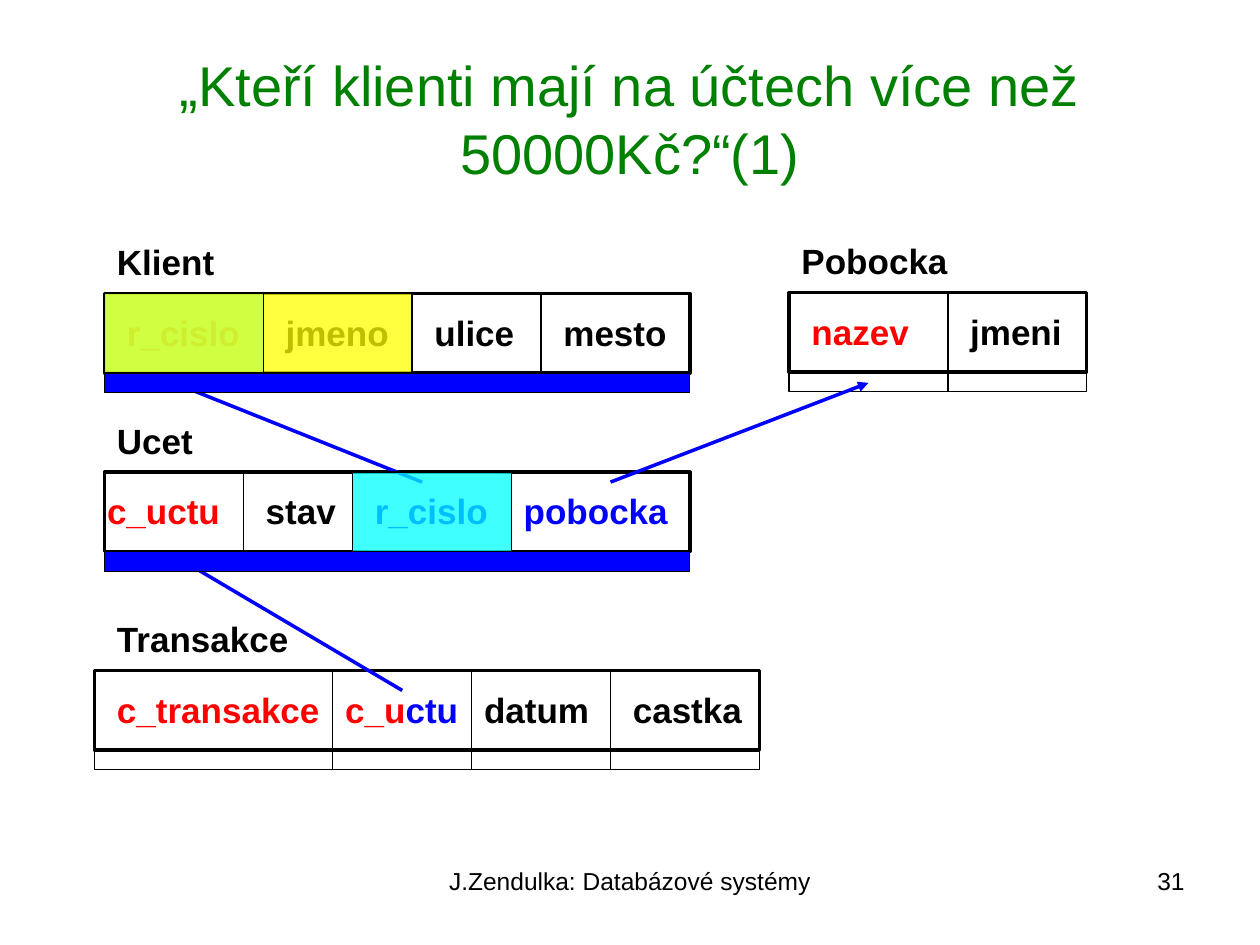
import pptx
import pptx.util
import pptx.dml.color
import pptx.enum.shapes
import pptx.enum.text
import pptx.oxml
import pptx.oxml.ns
from lxml import etree

RGB = pptx.dml.color.RGBColor
BLACK = RGB(0x00, 0x00, 0x00)
RED = RGB(0xFF, 0x00, 0x00)
BLUE = RGB(0x00, 0x00, 0xFF)
GREEN = RGB(0x00, 0x80, 0x00)
CYAN = RGB(0x00, 0xFF, 0xFF)
YELLOW = RGB(0xFF, 0xFF, 0x00)

ALIGN = pptx.enum.text.PP_ALIGN
ANCHOR = pptx.enum.text.MSO_ANCHOR
qn = pptx.oxml.ns.qn

HEAD_ROWS = 8
BAND_ROWS = 2


class SchemaSlide:
    """Places elements on a 2 mm grid that starts at the Klient table."""

    font = "Arial"
    unit = pptx.util.Mm(2)
    left = pptx.util.Inches(0.83)
    top = pptx.util.Inches(2.33)

    def __init__(self, prs):
        self.width, self.height = prs.slide_width, prs.slide_height
        self.slide = prs.slides.add_slide(prs.slide_layouts[6])

    def point(self, col, row):
        return round(self.left + col * self.unit), round(self.top + row * self.unit)

    def box(self, col, row, cols, rows):
        return *self.point(col, row), round(cols * self.unit), round(rows * self.unit)

    def share(self, x, y, w, h):
        return (round(x * self.width), round(y * self.height),
                round(w * self.width), round(h * self.height))

    def text(self, box, runs, size, align=ALIGN.LEFT, bold=False,
             anchor=ANCHOR.TOP, wrap=True):
        """Writes one paragraph; runs is a list of (text, colour)."""
        tf = self.slide.shapes.add_textbox(*box).text_frame
        tf.word_wrap = wrap
        tf.vertical_anchor = anchor
        if not wrap:
            tf.auto_size = pptx.enum.text.MSO_AUTO_SIZE.SHAPE_TO_FIT_TEXT
        p = tf.paragraphs[0]
        p.alignment = align
        p.font.name, p.font.size, p.font.bold = self.font, pptx.util.Pt(size), bold
        for words, color in runs:
            r = p.add_run()
            r.text = words
            r.font.color.rgb = color

    def label(self, col, row, cols, runs):
        self.text(self.box(col, row, cols, 5.6), runs, 20, bold=True, wrap=False)

    def rect(self, col, row, cols, rows, weight=0.75, fill=None, opacity=100):
        sp = self.slide.shapes.add_shape(
            pptx.enum.shapes.MSO_SHAPE.RECTANGLE, *self.box(col, row, cols, rows))
        sp.shadow.inherit = False
        sp.line.color.rgb = BLACK
        sp.line.width = pptx.util.Pt(weight)
        if fill is None:
            sp.fill.background()
            return
        sp.fill.solid()
        sp.fill.fore_color.rgb = fill
        if opacity < 100:
            color = sp.fill._xPr.find(qn("a:solidFill"))[0]
            etree.SubElement(color, qn("a:alpha"), val=str(opacity * 1000))

    def line(self, start, end, color=BLACK, weight=0.75, arrow=False):
        cxn = self.slide.shapes.add_connector(
            pptx.enum.shapes.MSO_CONNECTOR.STRAIGHT,
            *self.point(*start), *self.point(*end))
        cxn.line.color.rgb = color
        cxn.line.width = pptx.util.Pt(weight)
        if arrow:
            etree.SubElement(cxn.line._get_or_add_ln(), qn("a:tailEnd"), type="triangle")
        etree.SubElement(cxn._element.spPr, qn("a:effectLst"))

    def band(self, col, row, cols, fill=None):
        """Draws the narrow strip below the header that starts at row."""
        self.rect(col, row + HEAD_ROWS, cols, BAND_ROWS, fill=fill)

    def relation(self, name, col, row, cols, cells, indent=0):
        """Draws a relation; a cell is (start, text inset, text width, runs)."""
        name_text, name_cols = name
        self.label(col + indent, row - 5.95, name_cols, [(name_text, BLACK)])
        self.rect(col, row, cols, HEAD_ROWS, weight=2)
        for start, inset, text_cols, runs in cells:
            x = col + start
            self.label(x + inset, row + 1.15, text_cols, runs)
            if start:
                self.line((x, row), (x, row + HEAD_ROWS + BAND_ROWS))


def main():
    prs = pptx.Presentation()
    prs.slide_width = pptx.util.Inches(10)
    prs.slide_height = pptx.util.Inches(7.5)
    s = SchemaSlide(prs)

    s.text(s.share(0.05, 0.04, 0.9, 0.17),
           [("„Kteří klienti mají na účtech více než 50000Kč?“(1)", GREEN)],
           32, ALIGN.CENTER, anchor=ANCHOR.MIDDLE)
    s.text(s.share(0.34, 0.91, 0.32, 0.07),
           [("J.Zendulka: Databázové systémy", BLACK)], 14, ALIGN.CENTER)
    s.text(s.share(0.72, 0.91, 0.23, 0.07), [("31", BLACK)], 14, ALIGN.RIGHT)

    s.relation(("Klient", 13), 0, 0, 59, [
        (0, 1, 14, [("r_cislo", RED)]),
        (16, 1, 13, [("jmeno", BLACK)]),
        (31, 1, 11, [("ulice", BLACK)]),
        (44, 1, 13, [("mesto", BLACK)]),
    ])
    s.relation(("Pobocka", 18), 69, -0.1, 30, [
        (0, 1, 12.5, [("nazev", RED)]),
        (16, 1, 12, [("jmeni", BLACK)]),
    ])
    s.band(69, -0.1, 30)
    s.relation(("Ucet", 11), 0, 18, 59, [
        (0, -1, 14, [("c_uctu", RED)]),
        (14, 1, 10, [("stav", BLACK)]),
        (25, 1, 14, [("r_cislo", BLUE)]),
        (41, 0, 17.5, [("pobocka", BLUE)]),
    ])
    s.relation(("Transakce", 21), -1, 38, 67, [
        (0, 1, 23, [("c_transakce", RED)]),
        (24, 0, 14, [("c_u", RED), ("ctu", BLUE)]),
        (38, 0, 13.5, [("datum", BLACK)]),
        (52, 1, 14, [("castka", BLACK)]),
    ], indent=1)
    s.band(-1, 38, 67)

    for start, end in [((30, 40), (8, 27)), ((32, 19), (7, 9)), ((51, 19), (77, 9))]:
        s.line(start, end, BLUE, 2, arrow=True)

    # The blue bands lie over the arrowheads that end at them.
    for row in (0, 18):
        s.band(0, row, 59, BLUE)

    for col, row, cols, color in [(25, 18, 16, CYAN), (0, 0, 16, CYAN),
                                  (0, 0, 16, YELLOW), (16, 0, 15, YELLOW)]:
        s.rect(col, row, cols, HEAD_ROWS, fill=color, opacity=75)

    prs.save("out.pptx")


if __name__ == "__main__":
    main()
